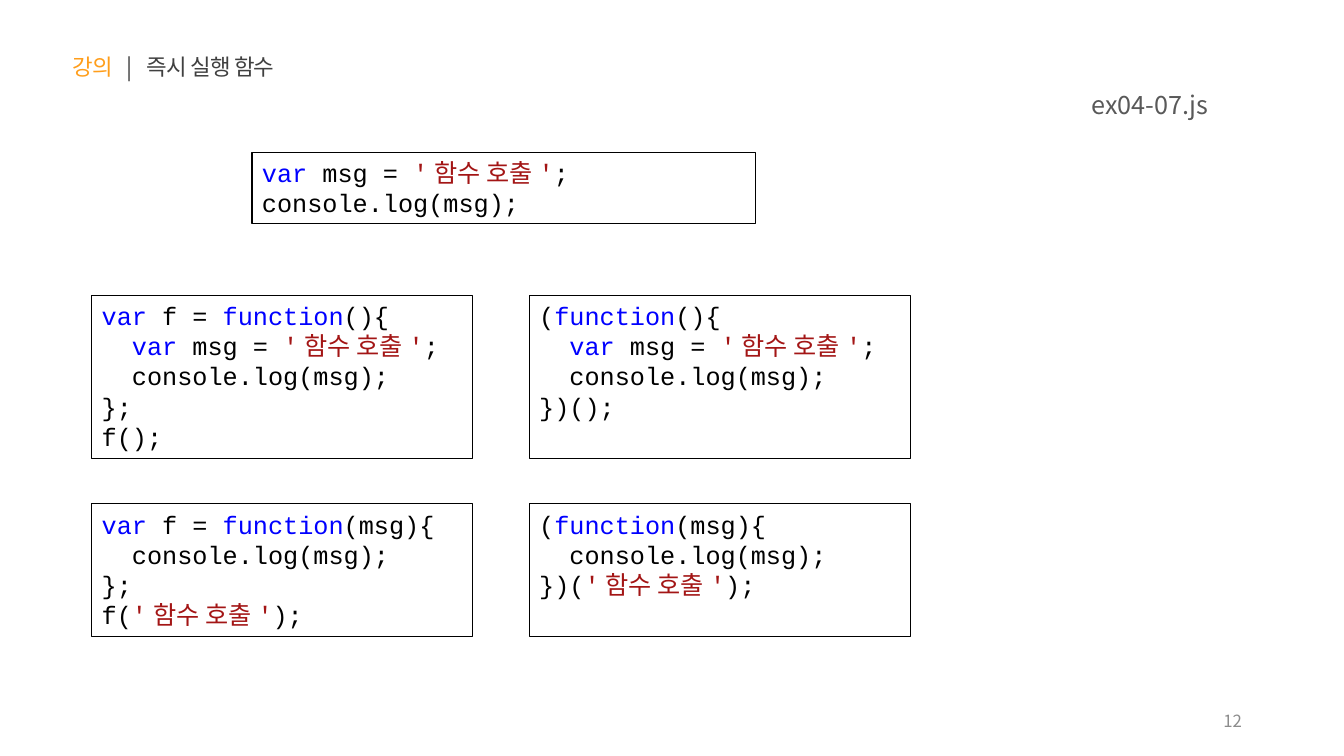
import pptx
import pptx.util
import pptx.oxml.ns
import pptx.dml.color
import pptx.enum.shapes
import pptx.enum.text
import lxml.etree
from dataclasses import dataclass

ALIGN = pptx.enum.text.PP_ALIGN
ANCHOR = pptx.enum.text.MSO_ANCHOR
Pt = pptx.util.Pt
qn = pptx.oxml.ns.qn


@dataclass(frozen=True)
class Theme:
    accent: str = "FF9E1B"
    heading: str = "404040"
    caption: str = "595959"
    page: str = "8C8C8C"
    code: str = "000000"
    keyword: str = "0000FF"
    string: str = "A31515"
    heading_size: int = 16
    caption_size: int = 18
    page_size: int = 12
    code_size: int = 18
    code_leading: float = 21.6
    border: float = 0.75
    body_font: str = "Noto Sans CJK KR"
    code_font: str = "Courier New"


class LectureSlide:
    COLUMNS, ROWS = 40, 30
    LINE_ROWS, PADDING_ROWS = 1.21, 0.42  # code box height, in grid rows
    INDENT = 0.3  # two code characters, in inches

    def __init__(self, deck, theme):
        self.theme = theme
        self.column = deck.slide_width / self.COLUMNS
        self.row = deck.slide_height / self.ROWS
        self.slide = deck.slides.add_slide(deck.slide_layouts[6])
        self.colors = {"var": theme.keyword, "function": theme.keyword,
                       MESSAGE: theme.string}

    def place(self, left, top, width, height):
        return [round(left * self.column), round(top * self.row),
                round(width * self.column), round(height * self.row)]

    def apply(self, target, values):
        for name, value in values.items():
            setattr(target, name, value)

    def add_text(self, paragraph, text, color, size, font, spacing=None):
        run = paragraph.add_run()
        run.text = text
        self.apply(run.font, {"size": Pt(size), "name": font})
        run.font.color.rgb = pptx.dml.color.RGBColor.from_string(color)
        properties = run._r.get_or_add_rPr()
        east_asian = lxml.etree.SubElement(properties, qn("a:ea"))
        east_asian.set("typeface", self.theme.body_font)
        if spacing:
            properties.set("spc", str(round(spacing * 100)))

    def label(self, area, runs, size, align=ALIGN.LEFT, anchor=ANCHOR.TOP,
              spacing=None, tabs=()):
        frame = self.slide.shapes.add_textbox(*self.place(*area)).text_frame
        self.apply(frame, {"word_wrap": True, "vertical_anchor": anchor})
        paragraph = frame.paragraphs[0]
        paragraph.alignment = align
        if tabs:
            stops = lxml.etree.SubElement(paragraph._p.get_or_add_pPr(), qn("a:tabLst"))
            for inches in tabs:
                stop = lxml.etree.SubElement(stops, qn("a:tab"))
                stop.set("pos", str(pptx.util.Inches(inches)))
                stop.set("algn", "l")
        for text, color in runs:
            self.add_text(paragraph, text, color, size, self.theme.body_font, spacing)

    def tokens(self, line):
        for word in self.colors:
            line = line.replace(word, f"|{word}|")
        return filter(None, line.split("|"))

    def code_box(self, left, top, width, lines, room):
        theme = self.theme
        height = room * self.LINE_ROWS + self.PADDING_ROWS
        box = self.slide.shapes.add_shape(
            pptx.enum.shapes.MSO_SHAPE.RECTANGLE, *self.place(left, top, width, height))
        box.shadow.inherit = False
        box.fill.background()
        box.line.width = Pt(theme.border)
        box.line.color.rgb = pptx.dml.color.RGBColor.from_string(theme.code)
        frame = box.text_frame
        self.apply(frame, {"word_wrap": True, "vertical_anchor": ANCHOR.TOP})
        for number, line in enumerate(lines):
            paragraph = frame.add_paragraph() if number else frame.paragraphs[0]
            self.apply(paragraph, {"alignment": ALIGN.LEFT,
                                   "line_spacing": Pt(theme.code_leading)})
            if line.startswith("\t"):
                margin = pptx.util.Inches(self.INDENT)
                paragraph._p.get_or_add_pPr().set("marL", str(margin))
            for token in self.tokens(line.strip()):
                self.add_text(paragraph, token, self.colors.get(token, theme.code),
                              theme.code_size, theme.code_font)


MESSAGE = "'함수 호출'"
ASSIGN = f"var msg = {MESSAGE};"
LOG = "console.log(msg);"

deck = pptx.Presentation()
deck.slide_width = pptx.util.Inches(13.33)
deck.slide_height = pptx.util.Inches(7.5)
theme = Theme()
lecture = LectureSlide(deck, theme)

# Heading and page number
lecture.label((1.86, 1.92, 15.45, 1.48),
              [("강의\t", theme.accent), ("|\t즉시 실행 함수", theme.heading)],
              theme.heading_size, spacing=-0.6, tabs=(0.54, 0.74))
lecture.label((28.26, 27.8, 9, 1.6), [("12", theme.page)], theme.page_size,
              align=ALIGN.RIGHT, anchor=ANCHOR.MIDDLE)

# Plain statements
lecture.code_box(7.5, 6.04, 15, [ASSIGN, LOG], room=2)

# Named function on the left, immediately invoked function on the right
comparisons = [
    (11.72, ["var f = function(){", "\t" + ASSIGN, "\t" + LOG, "};", "f();"],
     ["(function(){", "\t" + ASSIGN, "\t" + LOG, "})();"]),
    (20, ["var f = function(msg){", "\t" + LOG, "};", f"f({MESSAGE});"],
     ["(function(msg){", "\t" + LOG, f"}})({MESSAGE});"]),
]
for top, *versions in comparisons:
    room = max(map(len, versions))
    for side, lines in enumerate(versions):
        lecture.code_box(2.73 + side * 13.02, top, 11.34, lines, room)

# Example file name
lecture.label((19.77, 3.36, 16.5, 1.6), [("ex04-07.js", theme.caption)],
              theme.caption_size, align=ALIGN.RIGHT)

deck.save("out.pptx")
